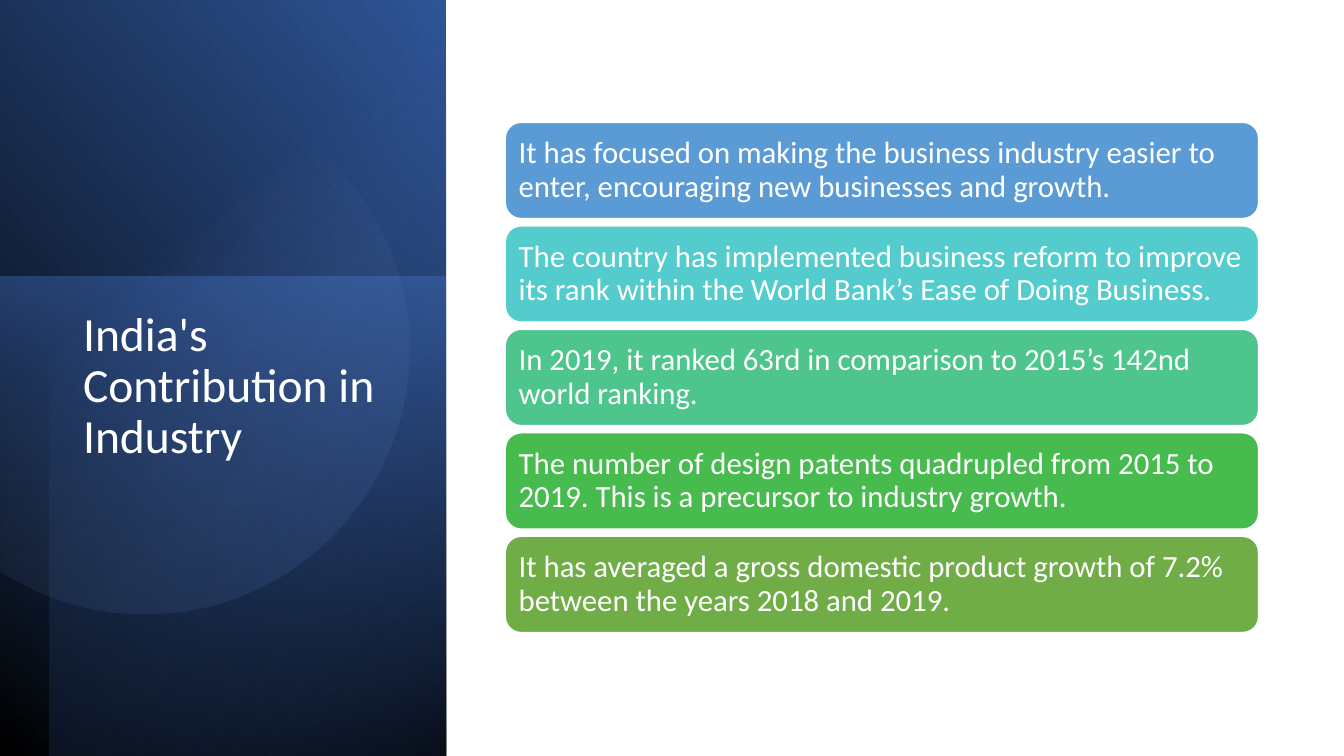
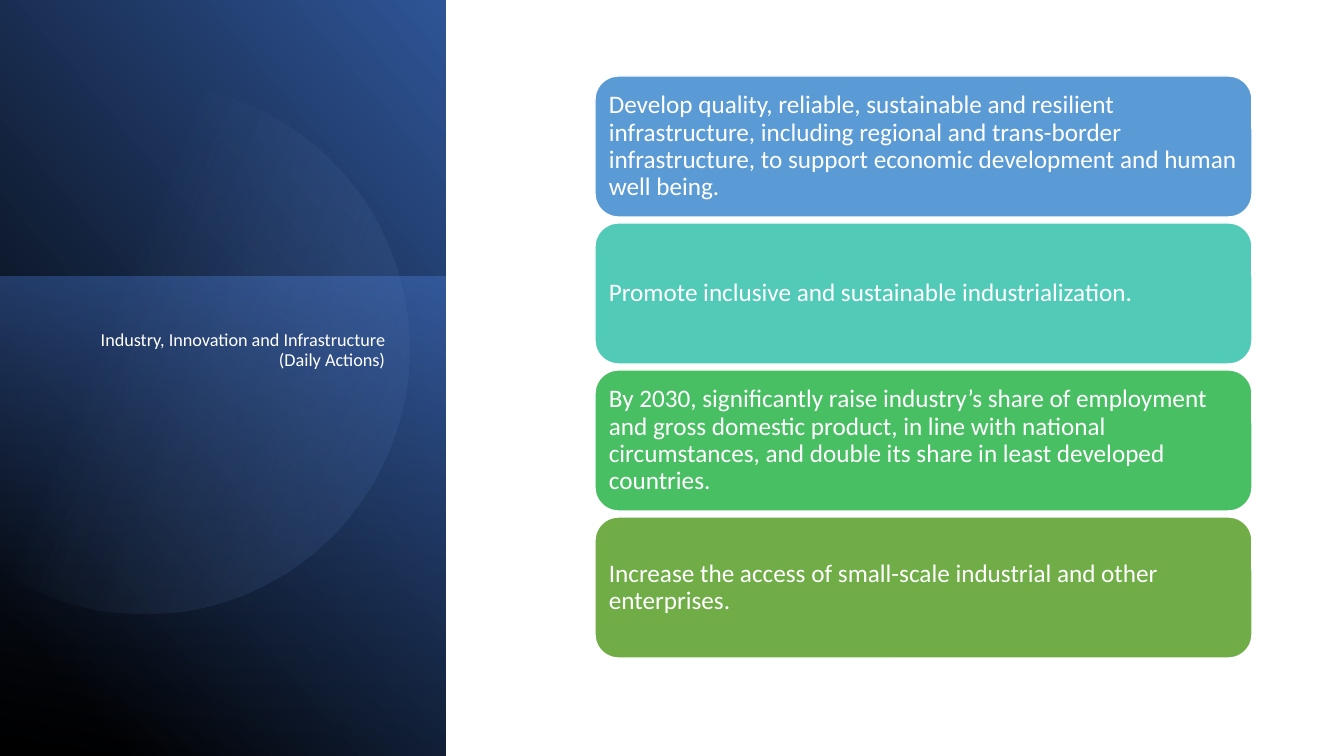
from math import cos, radians, sin

from pptx import Presentation
from pptx.dml.color import RGBColor
from pptx.enum.shapes import MSO_SHAPE
from pptx.enum.text import MSO_ANCHOR, MSO_AUTO_SIZE, PP_ALIGN
from pptx.oxml import parse_xml
from pptx.oxml.ns import nsdecls, qn
from pptx.util import Pt

PIXEL = 9071.43  # EMU per pixel at 100.8 pixels to the inch
SLIDE_WIDTH, SLIDE_HEIGHT = 1344, 756
PANEL_WIDTH = 446
FONT = "Calibri"

WHITE = RGBColor(0xFF, 0xFF, 0xFF)
BLACK = RGBColor(0x00, 0x00, 0x00)
NAVY = RGBColor(0x20, 0x38, 0x64)
DEEP_BLUE = RGBColor(0x2F, 0x55, 0x97)
BLUE = RGBColor(0x44, 0x72, 0xC4)
PALE_BLUE = RGBColor(0x8F, 0xAA, 0xDC)
SKY = RGBColor(0x5B, 0x9B, 0xD5)
CYAN = RGBColor(0x54, 0xCC, 0xCD)
TEAL = RGBColor(0x52, 0xCA, 0xB8)
MINT = RGBColor(0x4D, 0xC5, 0x8D)
EMERALD = RGBColor(0x49, 0xBF, 0x64)
GREEN = RGBColor(0x48, 0xBB, 0x4F)
OLIVE = RGBColor(0x70, 0xAD, 0x47)

# Circle behind the title, before it is turned
CIRCLE_X, CIRCLE_Y, CIRCLE_RADIUS = 183, 396, 265
CIRCLE_TURN = 101.6
CIRCLE_HALF_ARC = 123  # the arc ends at the left edge of the slide

SLIDES = [
    {
        "title": ["India's Contribution\u00a0in Industry"],
        "title_box": (73, 305, 318, 339),
        "title_size": 34,
        "title_align": PP_ALIGN.LEFT,
        "black_stop": 0,
        "side_shade": True,
        "circle_angle": 310,
        "stack": (505, 122, 754, 633),
        "card_height": 97,
        "inset": 9,
        "text_size": 22,
        "outline": 1.5,
        "cards": [
            (SKY, "It has focused on making the business industry easier to enter, "
                  "encouraging new businesses and growth."),
            (CYAN, "The country has implemented business reform to improve its rank "
                   "within the World Bank’s Ease of Doing Business."),
            (MINT, "In 2019, it ranked 63rd in comparison to 2015’s 142nd world ranking."),
            (GREEN, "The number of design patents quadrupled from 2015 to 2019. "
                    "This is a precursor to industry growth."),
            (OLIVE, "It has averaged a gross domestic product growth of 7.2% "
                    "between the years 2018 and 2019."),
        ],
    },
    {
        "title": ["Industry,\u00a0Innovation\u00a0and\u00a0Infrastructure", "(Daily Actions)"],
        "title_box": (58, 326, 337, 389),
        "title_size": 13,
        "title_align": PP_ALIGN.RIGHT,
        "black_stop": 11,
        "side_shade": False,
        "circle_angle": 280,
        "stack": (595, 76, 657, 658),
        "card_height": 141,
        "inset": 7,
        "text_size": 18,
        "outline": 1,
        "cards": [
            (SKY, "Develop quality, reliable, sustainable and resilient infrastructure, "
                  "including regional and trans-border infrastructure, to support "
                  "economic development and human well being."),
            (TEAL, "Promote inclusive and sustainable industrialization."),
            (EMERALD, "By 2030, significantly raise industry’s share of employment and "
                      "gross domestic product, in line with national circumstances, and "
                      "double its share in least developed countries."),
            (OLIVE, "Increase the access of small-scale industrial and other enterprises."),
        ],
    },
]


def px(*lengths):
    """Turn pixel lengths into a list of EMU lengths."""
    return [round(length * PIXEL) for length in lengths]


def shade(shape, stops, angle, rotation, flip=False):
    """Turn a shape and fill it with (position, colour, opacity) stops, without outline."""
    stop_xml = "".join(
        f'<a:gs pos="{position * 1000}"><a:srgbClr val="{color}">'
        f'<a:alpha val="{opacity * 1000}"/></a:srgbClr></a:gs>'
        for position, color, opacity in stops
    )
    gradient = parse_xml(
        f'<a:gradFill {nsdecls("a")}><a:gsLst>{stop_xml}</a:gsLst>'
        f'<a:lin ang="{angle * 60000}" scaled="0"/></a:gradFill>'
    )
    properties = shape._element.spPr
    properties.insert(2, gradient)  # straight after position and geometry
    if flip:
        properties.find(qn("a:xfrm")).set("flipH", "1")
    shape.rotation = rotation
    shape.line.fill.background()
    shape.shadow.inherit = False


presentation = Presentation()
presentation.slide_width, presentation.slide_height = px(SLIDE_WIDTH, SLIDE_HEIGHT)
title_only = presentation.slide_layouts[5]

for content in SLIDES:
    slide = presentation.slides.add_slide(title_only)
    shapes = slide.shapes

    # Side panel: (visible left, visible top, rotation, flip, gradient angle, stops)
    layers = [
        (0, 0, 90, True, 310,
         [(content["black_stop"], BLACK, 100), (100, DEEP_BLUE, 100)]),
        (0, 276, 270, False, 190, [(0, BLUE, 50), (100, NAVY, 0)]),
    ]
    if content["side_shade"]:
        layers.append((50, 0, 270, True, 220, [(0, BLACK, 59), (69, BLUE, 0)]))
    for left, top, rotation, flip, angle, stops in layers:
        width, height = PANEL_WIDTH - left, SLIDE_HEIGHT - top
        # A quarter turn swaps width and height around the same centre
        shift = (height - width) / 2
        layer = shapes.add_shape(
            MSO_SHAPE.RECTANGLE, *px(left - shift, top + shift, height, width))
        shade(layer, stops, angle, rotation, flip)

    arc = []
    for degrees in range(-CIRCLE_HALF_ARC, CIRCLE_HALF_ARC + 1, 3):
        direction = radians(degrees - CIRCLE_TURN)
        arc.append(px(CIRCLE_X + CIRCLE_RADIUS * cos(direction),
                      CIRCLE_Y + CIRCLE_RADIUS * sin(direction)))
    builder = shapes.build_freeform(*arc[0])
    builder.add_line_segments(arc[1:], close=True)
    shade(builder.convert_to_shape(), [(39, PALE_BLUE, 0), (100, DEEP_BLUE, 26)],
          content["circle_angle"], CIRCLE_TURN)

    # Title, brought in front of the panel
    title = shapes.title
    shapes._spTree.append(title._element)
    title.left, title.top, title.width, title.height = px(*content["title_box"])
    frame = title.text_frame
    frame.word_wrap = True
    frame.auto_size = MSO_AUTO_SIZE.NONE
    frame.vertical_anchor = MSO_ANCHOR.TOP
    paragraph = frame.paragraphs[0]
    paragraph.alignment = content["title_align"]
    paragraph.line_spacing = 0.9
    for index, line in enumerate(content["title"]):
        if index:
            paragraph.add_line_break()
        run = paragraph.add_run()
        run.text = line
        run.font.name = FONT
        run.font.size = Pt(content["title_size"])
        run.font.color.rgb = WHITE

    # Cards, spread evenly from the top to the bottom of the stack
    left, top, width, bottom = content["stack"]
    height = content["card_height"]
    pitch = (bottom - top - height) / (len(content["cards"]) - 1)
    for index, (color, text) in enumerate(content["cards"]):
        card = shapes.add_shape(
            MSO_SHAPE.ROUNDED_RECTANGLE, *px(left, top + index * pitch, width, height))
        card.shadow.inherit = False
        card.fill.solid()
        card.fill.fore_color.rgb = color
        card.line.color.rgb = WHITE
        card.line.width = Pt(content["outline"])
        frame = card.text_frame
        frame.word_wrap = True
        frame.vertical_anchor = MSO_ANCHOR.MIDDLE
        (frame.margin_left, frame.margin_top,
         frame.margin_right, frame.margin_bottom) = px(*[content["inset"]] * 4)
        paragraph = frame.paragraphs[0]
        paragraph.alignment = PP_ALIGN.LEFT
        paragraph.line_spacing = 0.9
        run = paragraph.add_run()
        run.text = text
        run.font.name = FONT
        run.font.size = Pt(content["text_size"])
        run.font.color.rgb = WHITE

presentation.save("out.pptx")
